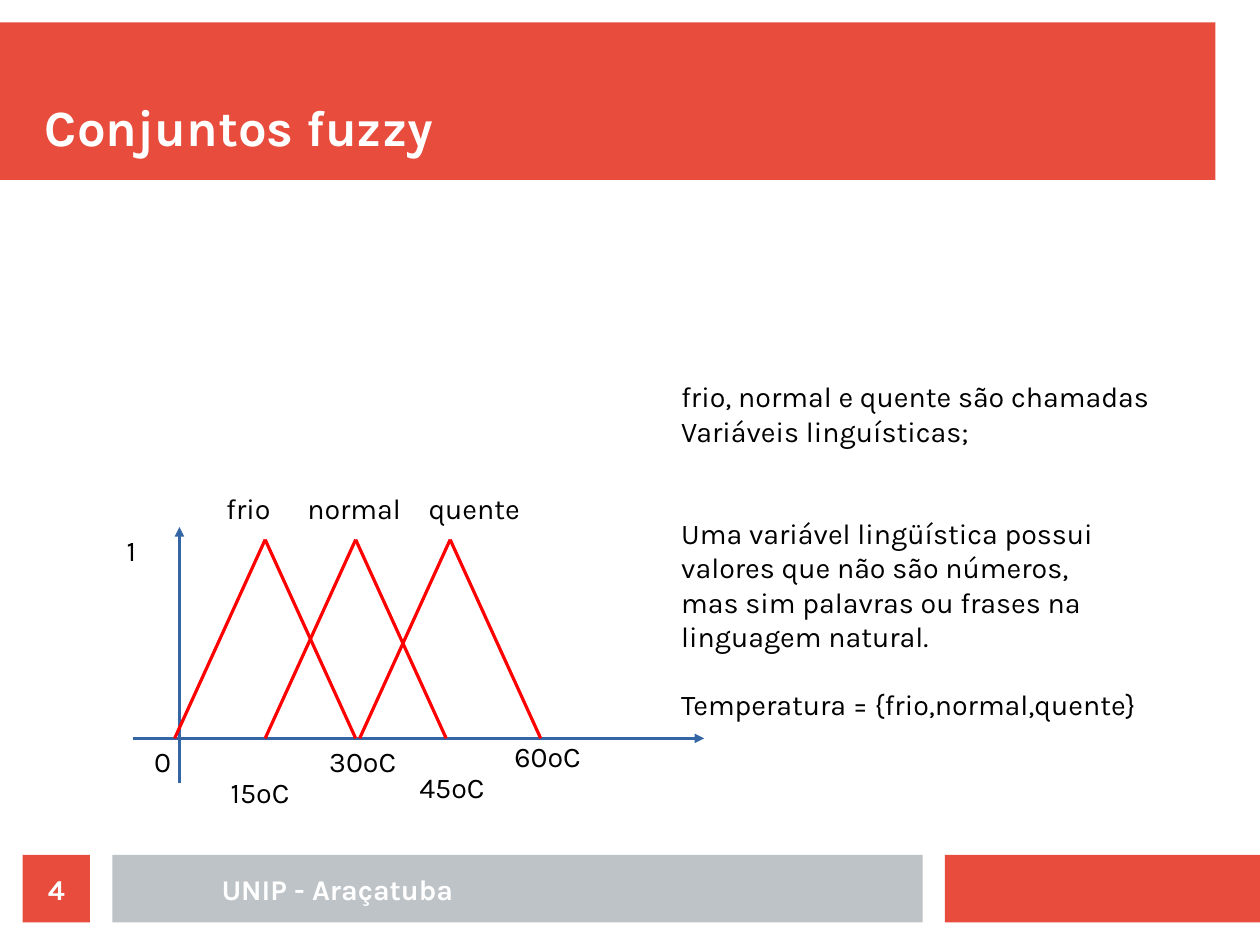
from lxml.etree import SubElement
from pptx import Presentation
from pptx.dml.color import RGBColor
from pptx.enum.shapes import MSO_CONNECTOR, MSO_SHAPE
from pptx.enum.text import MSO_ANCHOR as ANCHOR, PP_ALIGN as ALIGN
from pptx.oxml.ns import qn
from pptx.util import Pt

RED = RGBColor(0xE7, 0x4C, 0x3C)
GRAY = RGBColor(0xBD, 0xC3, 0xC7)
BLUE = RGBColor(0x34, 0x65, 0xA4)
CURVE = RGBColor(0xFF, 0, 0)
WHITE = RGBColor(0xFF, 0xFF, 0xFF)
BLACK = RGBColor(0, 0, 0)
FONT = "Karla"
LINE_HEIGHT = 21.5


def add_block(s, x, y, w, h, color):
    sp = s.shapes.add_shape(MSO_SHAPE.RECTANGLE, Pt(x), Pt(y), Pt(w), Pt(h))
    sp.shadow.inherit = False
    sp.fill.solid()
    sp.fill.fore_color.rgb = color
    sp.line.fill.background()
    return sp


def add_run(p, text, size=18, color=BLACK, bold=False):
    r = p.add_run()
    r.text = text
    r.font.name = FONT
    r.font.size = Pt(size)
    r.font.bold = bold
    r.font.color.rgb = color


def write_heading(sp, text, size, anchor, align):
    tf = sp.text_frame
    tf.word_wrap = True
    tf.margin_left = tf.margin_top = tf.margin_right = tf.margin_bottom = 0
    tf.vertical_anchor = anchor
    p = tf.paragraphs[0]
    p.alignment = align
    add_run(p, text, size, WHITE, True)


def add_text(s, x, y, w, h, lines):
    sp = s.shapes.add_textbox(Pt(x), Pt(y), Pt(w), Pt(h))
    tf = sp.text_frame
    tf.word_wrap = False
    for i, (text, gap) in enumerate(lines):
        p = tf.paragraphs[0] if i == 0 else tf.add_paragraph()
        if gap:
            p.space_before = Pt(gap * LINE_HEIGHT)
        add_run(p, text)


def add_line(s, x1, y1, x2, y2, color, arrow=False):
    c = s.shapes.add_connector(MSO_CONNECTOR.STRAIGHT, Pt(x1), Pt(y1), Pt(x2), Pt(y2))
    c.line.color.rgb = color
    c.line.width = Pt(0)
    if arrow:
        SubElement(c.line._get_or_add_ln(), qn("a:tailEnd"), type="triangle")
    SubElement(c._element.spPr, qn("a:effectLst"))


def add_header(s, x, y, w, h):
    add_block(s, x, y, w, h, RED)
    title = s.shapes.add_textbox(Pt(x + 28.3), Pt(y + 14), Pt(w - 28.3), Pt(70.6))
    write_heading(title, "Conjuntos fuzzy", 32, ANCHOR.BOTTOM, ALIGN.LEFT)


def add_footer(s, x, y, w, h):
    add_block(s, x + w - 198.4, y, 198.4, h, RED)
    add_block(s, x + 70.8, y, 510.3, h, GRAY)
    place = s.shapes.add_textbox(Pt(x + 85), Pt(y), Pt(255), Pt(h))
    write_heading(place, "UNIP - Araçatuba", 18, ANCHOR.MIDDLE, ALIGN.CENTER)
    number = add_block(s, x + 14.2, y, h, h, RED)
    write_heading(number, "4", 18, ANCHOR.MIDDLE, ALIGN.CENTER)


def add_fuzzy_sets(s, x, y, w, h):
    base = y + 159.2
    add_line(s, x + 41, y + h, x + 41, y + 26, BLUE, True)
    add_line(s, x + 11.5, base, x + w, base, BLUE, True)

    for peak in (95, 152, 211.5):
        for foot in (peak - 57, peak + 57):
            add_line(s, x + peak, y + 34, x + foot, base, CURVE)

    labels = [
        ("frio", 63.4, 0, 44), ("normal", 114.5, 0, 77), ("quente", 190.8, 0, 78),
        ("1", 0.7, 26, 26), ("0", 18, 159.2, 26),
        ("15ºC", 66.2, 178.6, 58.3), ("30ºC", 128.2, 159.2, 58.3),
        ("45ºC", 185, 175.7, 58.3), ("60ºC", 244.8, 156.2, 58.3),
    ]
    for text, dx, dy, width in labels:
        add_text(s, x + dx, y + dy, width, 31.7, [(text, 0)])


def add_explanation(s, x, y, w, h):
    add_text(s, x, y, w, h, [
        ("frio, normal e quente são chamadas", 0),
        ("Variáveis linguísticas;", 0),
        ("Uma variável lingüística possui", 2),
        ("valores que não são números,", 0),
        ("mas sim palavras ou frases na", 0),
        ("linguagem natural.", 0),
        ("Temperatura = {frio,normal,quente}", 1),
    ])


def main():
    prs = Presentation()
    prs.slide_width, prs.slide_height = Pt(793.5), Pt(595.4)
    s = prs.slides.add_slide(prs.slide_layouts[6])
    add_header(s, 0, 14.2, 765.4, 99.2)
    add_fuzzy_sets(s, 72, 306, 371.5, 187.2)
    add_explanation(s, 421.9, 235.4, 346.3, 252)
    add_footer(s, 0, 538.6, 793.5, 42.5)
    prs.save("out.pptx")


if __name__ == "__main__":
    main()
